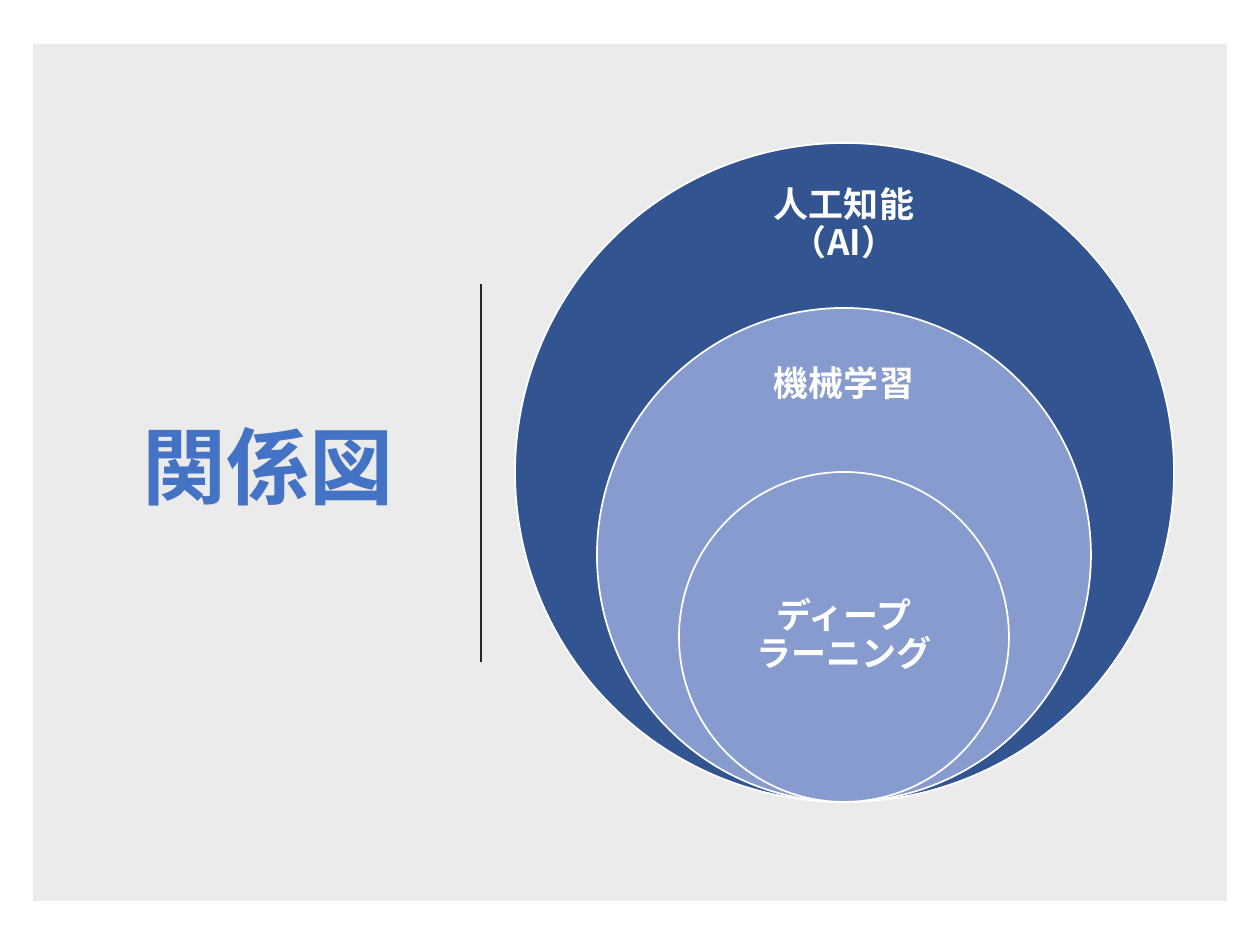
from lxml import etree
from pptx import Presentation
from pptx import util as u
from pptx.dml.color import RGBColor
from pptx.enum import shapes, text
from pptx.oxml.ns import qn

FONT = "Noto Sans CJK JP"
WHITE = "FFFFFF"


def px(n):
    return u.Emu(round(n * 914400 / 126))


def color(code):
    return RGBColor.from_string(code)


def add_shape(slide, kind, box, fill, line=None, alpha=None):
    shape = slide.shapes.add_shape(kind, *map(px, box))
    shape.shadow.inherit = False
    shape.fill.solid()
    shape.fill.fore_color.rgb = color(fill)
    if alpha:
        tone = shape.fill._xPr.find(".//" + qn("a:srgbClr"))
        etree.SubElement(tone, qn("a:alpha"), val=str(alpha * 1000))
    if line:
        shape.line.color.rgb = color(line)
        shape.line.width = u.Pt(1)
    else:
        shape.line.fill.background()


def add_text(slide, box, words, size, tone, inset, after=0):
    frame = slide.shapes.add_textbox(*map(px, box)).text_frame
    frame.word_wrap = True
    frame.vertical_anchor = text.MSO_ANCHOR.MIDDLE
    frame.margin_left = frame.margin_right = px(inset)
    frame.margin_top = frame.margin_bottom = px(inset)
    para = frame.paragraphs[0]
    para.text = words
    para.alignment = text.PP_ALIGN.CENTER
    para.line_spacing = 0.9
    para.space_after = u.Pt(after)
    font = para.font
    font.size = u.Pt(size)
    font.bold = True
    font.color.rgb = color(tone)
    font.name = FONT
    # East Asian glyphs take their own typeface
    etree.SubElement(font._rPr, qn("a:ea"), typeface=FONT)


def add_rule(slide, x, top, end, tone):
    rule = slide.shapes.add_connector(
        shapes.MSO_CONNECTOR.STRAIGHT, px(x), px(top), px(x), px(end))
    rule.line.color.rgb = color(tone)
    rule.line.width = u.Pt(1.5)
    etree.SubElement(rule._element.spPr, qn("a:effectLst"))


def add_rings(slide, mid, base, size):
    # Circles share a base point; each is a quarter of the largest smaller
    rings = [
        (4, "325491", "人工知能（AI）", 176, 98),
        (3, "879BCE", "機械学習", 339, 93),
        (2, "879BCE", "ディープラーニング", 554, 165),
    ]
    wide = 232
    for part, fill, words, top, high in rings:
        d = round(size * part / 4)
        add_shape(slide, shapes.MSO_SHAPE.OVAL,
                  (mid - d // 2, base - d, d, d), fill, WHITE)
        add_text(slide, (mid - wide // 2, top, wide, high),
                 words, 20, WHITE, 20, after=7)


def main():
    deck = Presentation()
    deck.slide_width, deck.slide_height = px(1260), px(945)
    slide = deck.slides.add_slide(deck.slide_layouts[6])

    # Panel, title and divider
    add_shape(slide, shapes.MSO_SHAPE.RECTANGLE,
              (33, 44, 1194, 857), "000000", alpha=8)
    add_text(slide, (87, 132, 362, 679), "関係図", 48, "4472C4", 12)
    add_rule(slide, 481, 284, 662, "262626")

    # Nested circles
    add_rings(slide, 844, 802, 659)
    deck.save("out.pptx")


if __name__ == "__main__":
    main()
